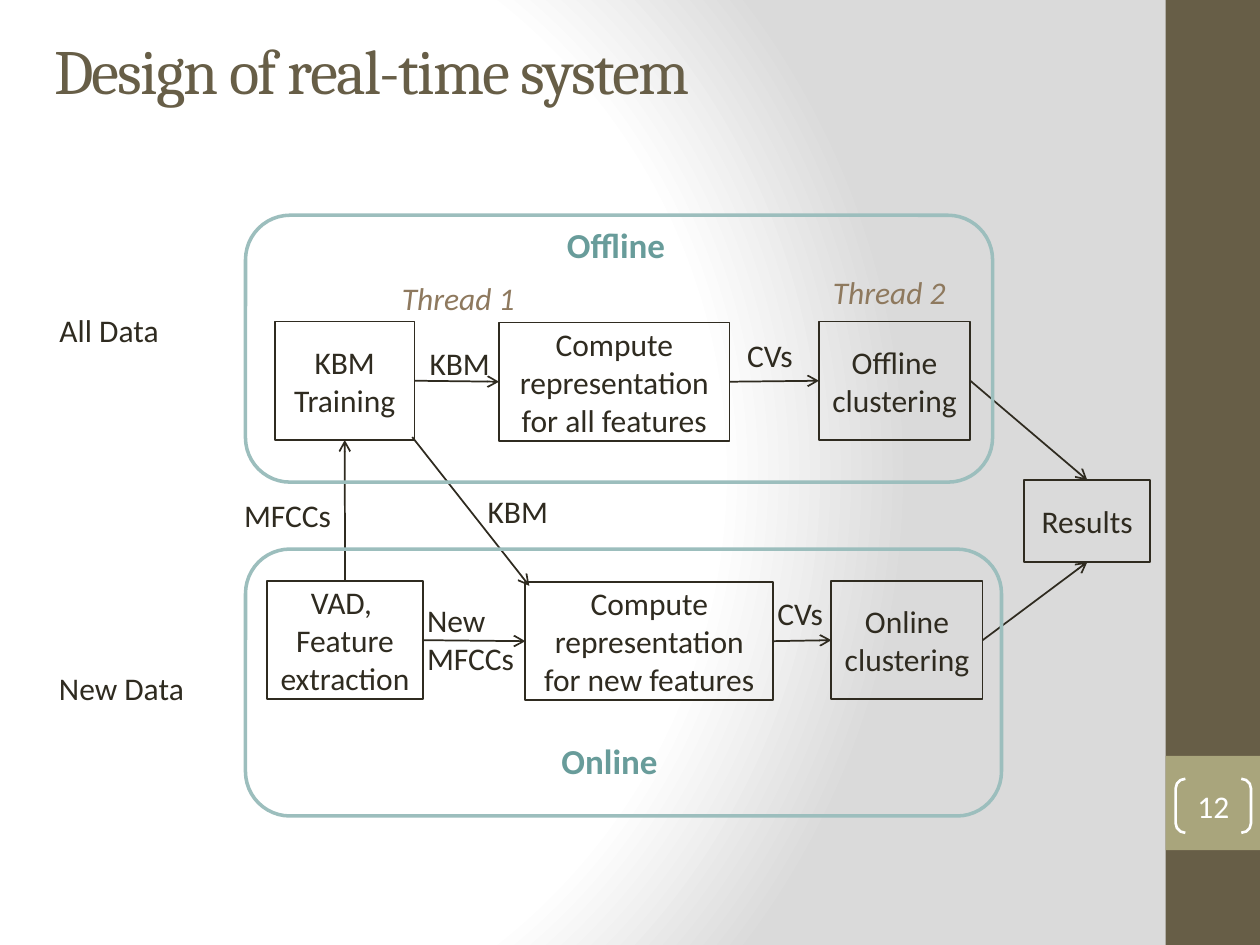
"""Build the slide on the design of the real-time system."""
from pptx import Presentation
from pptx import util as u
from pptx.dml.color import RGBColor
from pptx.enum import shapes, text
from pptx.oxml import ns, parse_xml

INK = RGBColor(0x2F, 0x2B, 0x20)
OLIVE = RGBColor(0x67, 0x5E, 0x47)
SAGE = RGBColor(0xA9, 0xA5, 0x7C)
BROWN = RGBColor(0x8E, 0x79, 0x5E)
TEAL = RGBColor(0x68, 0x9C, 0x9A)
PALE_TEAL = RGBColor(0x9C, 0xBE, 0xBD)
WHITE = RGBColor(0xFF, 0xFF, 0xFF)
SILVER = RGBColor(0xDA, 0xDA, 0xDA)

TOP, LEFT, BOTTOM, RIGHT = range(4)
FORM = shapes.MSO_SHAPE
BOX_HEIGHT = 2.39
OFFLINE_TOP, ONLINE_TOP = 6.48, 11.71


class Diagram:
    def __init__(self, page, font="Calibri", size=18):
        self.page, self.font, self.size = page, font, size

    def background(self, stops):
        fill = self.page.background.fill
        fill.gradient()
        old = self.page.element.find(".//" + ns.qn("a:gradFill"))
        marks = "".join(
            f'<a:gs pos="{position * 1000}"><a:srgbClr val="{color}"/></a:gs>'
            for position, color in stops)
        new = parse_xml(
            f'<a:gradFill {ns.nsdecls("a")} rotWithShape="1">'
            f'<a:gsLst>{marks}</a:gsLst><a:path path="circle">'
            '<a:fillToRect l="20000" t="50000" r="100000" b="50000"/>'
            '</a:path></a:gradFill>')
        old.getparent().replace(old, new)

    def set_text(self, frame, wording, color, size=None, align=text.PP_ALIGN.LEFT,
                 bold=False, italic=False, font=None):
        frame.word_wrap = True
        frame.text = wording
        for para in frame.paragraphs:
            para.alignment = align
            para.font.name = font or self.font
            para.font.size = u.Pt(size or self.size)
            para.font.color.rgb = color
            para.font.bold, para.font.italic = bold, italic

    def title(self, wording, left, top, width, height):
        title = self.page.shapes.title
        title.left, title.top = u.Cm(left), u.Cm(top)
        title.width, title.height = u.Cm(width), u.Cm(height)
        frame = title.text_frame
        self.set_text(frame, wording, OLIVE, 36, font="Cambria")
        frame.auto_size = text.MSO_AUTO_SIZE.NONE
        frame.vertical_anchor = text.MSO_ANCHOR.MIDDLE
        for properties in title.element.iter(ns.qn("a:defRPr")):
            properties.set("spc", "-100")

    def shape(self, form, left, top, width, height, fill=None, line=None, weight=1):
        shape = self.page.shapes.add_shape(
            form, u.Cm(left), u.Cm(top), u.Cm(width), u.Cm(height))
        shape.shadow.inherit = False
        if fill is None:
            shape.fill.background()
        else:
            shape.fill.solid()
            shape.fill.fore_color.rgb = fill
        if line is None:
            shape.line.fill.background()
        else:
            shape.line.color.rgb = line
            shape.line.width = u.Pt(weight)
        return shape

    def box(self, wording, left, top, width, height=BOX_HEIGHT):
        box = self.shape(FORM.RECTANGLE, left, top, width, height, line=INK)
        self.set_text(box.text_frame, wording, INK, align=text.PP_ALIGN.CENTER)
        box.text_frame.vertical_anchor = text.MSO_ANCHOR.MIDDLE
        return box

    def label(self, wording, left, top, width, color=INK, height=1.02, **style):
        label = self.page.shapes.add_textbox(
            u.Cm(left), u.Cm(top), u.Cm(width), u.Cm(height))
        self.set_text(label.text_frame, wording, color, **style)

    def arrow(self, begin_x=0, begin_y=0, end_x=0, end_y=0):
        arrow = self.page.shapes.add_connector(
            shapes.MSO_CONNECTOR.STRAIGHT,
            u.Cm(begin_x), u.Cm(begin_y), u.Cm(end_x), u.Cm(end_y))
        arrow.line.color.rgb = INK
        arrow.line.width = u.Pt(1)
        properties = arrow.element.spPr
        head = parse_xml(f'<a:tailEnd {ns.nsdecls("a")} type="arrow"/>')
        properties.find(ns.qn("a:ln")).append(head)
        properties.append(parse_xml(f'<a:effectLst {ns.nsdecls("a")}/>'))
        return arrow

    def link(self, source, source_side, target, target_side):
        arrow = self.arrow()
        arrow.begin_connect(source, source_side)
        arrow.end_connect(target, target_side)

    def page_number(self, number, left, top, width, height):
        badge = self.shape(FORM.DOUBLE_BRACKET, left, top, width, height,
                           line=WHITE, weight=1.5)
        badge.adjustments[0] = 0.18
        frame = badge.text_frame
        self.set_text(frame, number, WHITE, align=text.PP_ALIGN.CENTER)
        frame.vertical_anchor = text.MSO_ANCHOR.MIDDLE
        frame.margin_left = frame.margin_right = 0
        frame.margin_top = frame.margin_bottom = 0


def main():
    deck = Presentation()
    deck.slide_width, deck.slide_height = u.Cm(25.4), u.Cm(19.05)
    diagram = Diagram(deck.slides.add_slide(deck.slide_layouts[5]))

    diagram.background([(0, WHITE), (75, WHITE), (100, SILVER)])
    diagram.shape(FORM.RECTANGLE, 23.5, 0, 1.9, 19.05, fill=OLIVE)
    diagram.shape(FORM.RECTANGLE, 23.5, 15.24, 1.9, 1.9, fill=SAGE)
    diagram.title("Design of real-time system", 0.84, -0.2, 21.16, 3.18)

    extraction = diagram.box("VAD, \nFeature extraction", 5.38, ONLINE_TOP, 3.15)
    training = diagram.box("KBM Training", 5.54, OFFLINE_TOP, 2.82)
    compute_all = diagram.box("Compute representation for all features",
                              10.06, OFFLINE_TOP + 0.02, 4.65)
    compute_new = diagram.box("Compute representation for new features",
                              10.59, ONLINE_TOP + 0.02, 5)
    offline = diagram.box("Offline clustering", 16.51, OFFLINE_TOP, 3.05)
    online = diagram.box("Online clustering", 16.76, ONLINE_TOP, 3.05)
    results = diagram.box("Results", 20.65, 9.68, 2.54, 1.65)

    for source, target in ((training, compute_all), (compute_all, offline),
                           (extraction, compute_new), (compute_new, online)):
        diagram.link(source, RIGHT, target, LEFT)
    diagram.link(extraction, TOP, training, BOTTOM)
    diagram.link(offline, RIGHT, results, TOP)
    diagram.link(online, RIGHT, results, BOTTOM)
    diagram.arrow(8.31, 8.81, 10.67, 11.81)

    for wording, left, top in (("Thread 1", 7.85, 5.51), ("Thread 2", 16.54, 5.38)):
        diagram.label(wording, left, top, 3.5, BROWN, italic=True)
    for wording, left, top in (("Offline", 11.18, 4.39), ("Online", 11.07, 14.78)):
        diagram.label(wording, left, top, 3.5, TEAL, 1.12, size=20, bold=True)
    for top, width in ((4.34, 15.06), (11.07, 15.24)):
        diagram.shape(FORM.ROUNDED_RECTANGLE, 4.95, top, width, 5.38,
                      line=PALE_TEAL, weight=2)
    diagram.page_number("12", 23.7, 15.7, 1.52, 1.09)

    for wording, left, top, width in (
            ("All Data", 0.95, 6.15, 3.07), ("New Data", 0.94, 13.36, 3.07),
            ("MFCCs", 4.67, 9.88, 3.3), ("KBM", 9.58, 9.8, 2.72),
            ("KBM", 8.41, 6.81, 2.72), ("CVs", 14.81, 6.65, 2.72),
            ("CVs", 15.42, 11.86, 2.72)):
        diagram.label(wording, left, top, width)
    diagram.label("New\nMFCCs", 8.36, 11.99, 2.72, height=1.8)
    deck.save("out.pptx")


if __name__ == "__main__":
    main()
